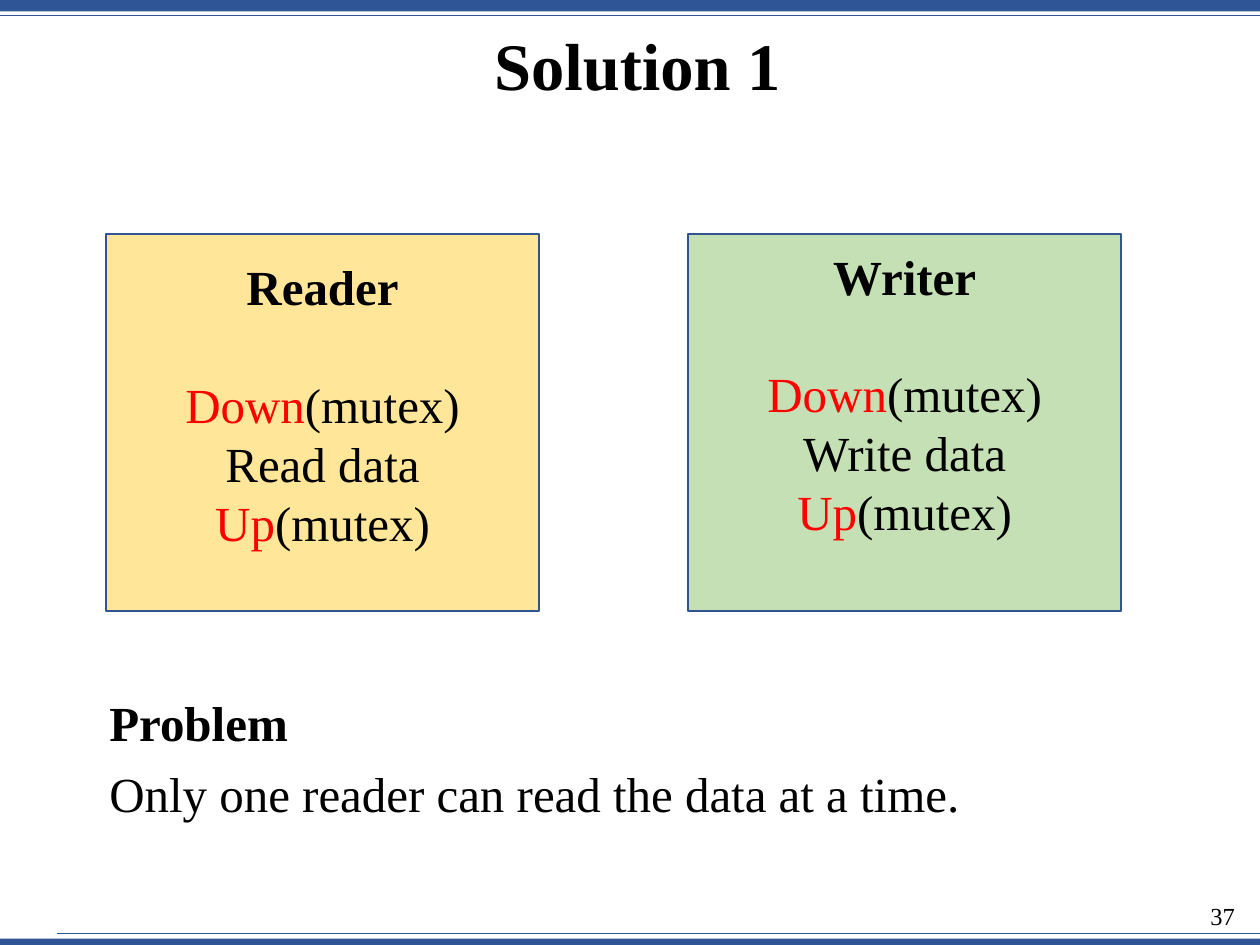
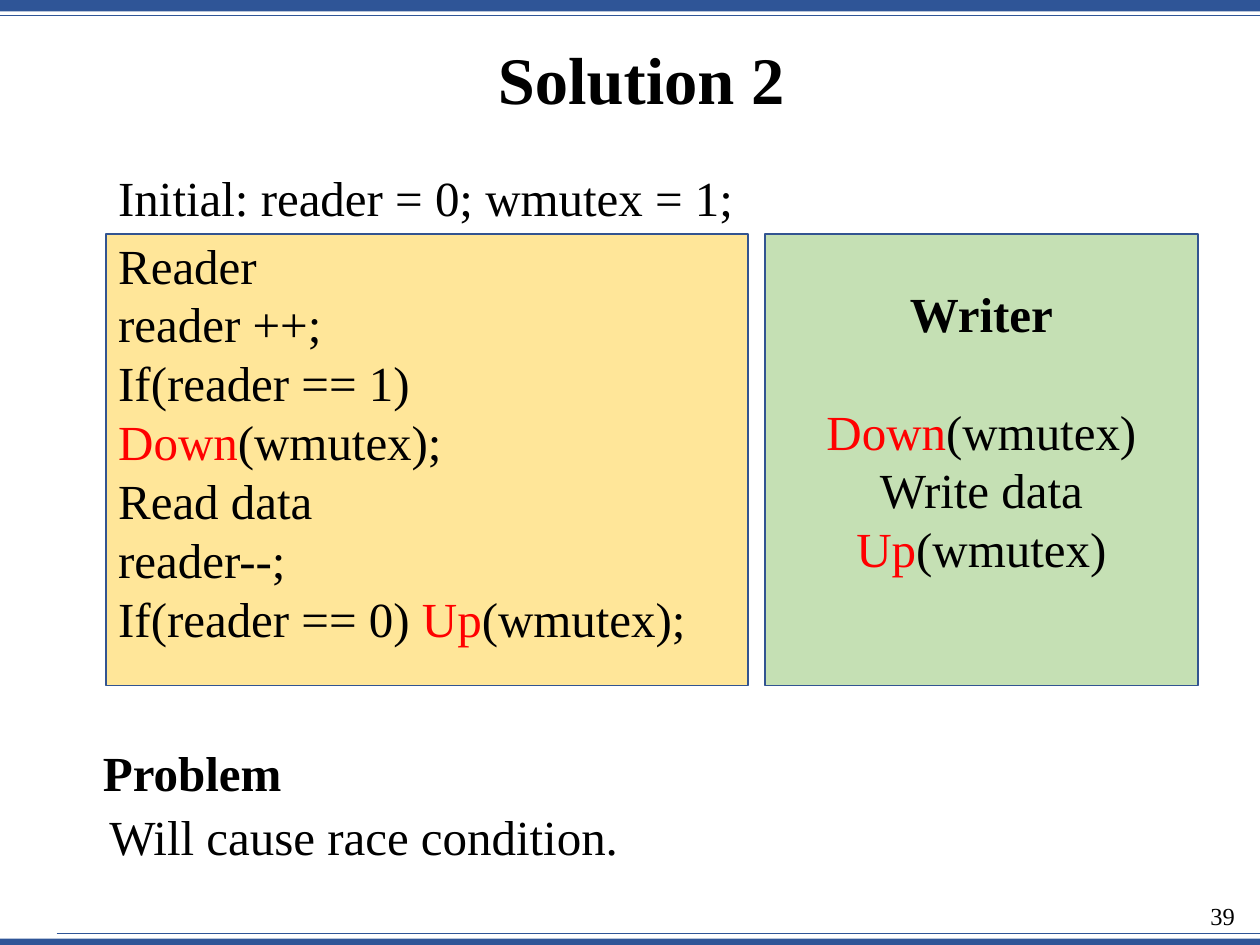
from lxml import etree
from pptx import Presentation
from pptx.dml.color import RGBColor
from pptx.enum.shapes import MSO_CONNECTOR, MSO_SHAPE
from pptx.enum.text import MSO_ANCHOR, PP_ALIGN
from pptx.oxml.ns import qn
from pptx.util import Pt

LEFT, CENTER, RIGHT = PP_ALIGN.LEFT, PP_ALIGN.CENTER, PP_ALIGN.RIGHT
TOP, MIDDLE = MSO_ANCHOR.TOP, MSO_ANCHOR.MIDDLE
RECTANGLE = MSO_SHAPE.RECTANGLE
STRAIGHT = MSO_CONNECTOR.STRAIGHT

COLORS = {name: RGBColor.from_string(value) for name, value in {
    "band": "2F5597", "border": "325491", "reader": "FFE699",
    "writer": "C5E0B4", "text": "000000", "keyword": "FF0000",
}.items()}
FONT = "Times New Roman"
WIDTH, HEIGHT = 720, 540
BODY_SIZE = 28
BODY_LINE = 33.6
BOX_TOP = 133.9


def write(shape, text, size=BODY_SIZE, align=LEFT, anchor=TOP, bold=False,
          heading=False, spacing=None, space_below=0):
    frame = shape.text_frame
    frame.word_wrap = True
    frame.vertical_anchor = anchor
    frame.margin_bottom = Pt(3.6 + space_below)
    for index, line in enumerate(text.split("\n")):
        paragraph = frame.paragraphs[0] if index == 0 else frame.add_paragraph()
        paragraph.alignment = align
        if spacing:
            paragraph.line_spacing = spacing
        if heading and index == 1:
            paragraph.space_before = Pt(BODY_LINE)
        for part, words in enumerate(line.split("*")):
            if words:
                run = paragraph.add_run()
                run.text = words
                run.font.name = FONT
                run.font.size = Pt(size)
                run.font.bold = bold or (heading and index == 0)
                run.font.color.rgb = COLORS["keyword" if part % 2 else "text"]


def add_rectangle(slide, left, top, width, height, fill, border=None):
    shape = slide.shapes.add_shape(RECTANGLE, Pt(left), Pt(top), Pt(width), Pt(height))
    shape.shadow.inherit = False
    shape.fill.solid()
    shape.fill.fore_color.rgb = COLORS[fill]
    if border:
        shape.line.color.rgb = COLORS[border]
        shape.line.width = Pt(1)
    else:
        shape.line.fill.background()
    return shape


SLIDES = [
    {
        "title": "Solution 1", "title_at": (58.3, 8.6), "number": "37",
        "box_height": 215.3,
        "boxes": [
            ("writer", 393.1, 247.7, "Writer\n*Down*(mutex)\nWrite data\n*Up*(mutex)",
             {"align": CENTER, "heading": True, "space_below": BODY_LINE}),
            ("reader", 60.5, 247.7, "Reader\n*Down*(mutex)\nRead data\n*Up*(mutex)",
             {"align": CENTER, "heading": True, "space_below": 21.6}),
        ],
        "texts": [
            ("Only one reader can read the data at a time.", 55.4, 432.7, 637.9, False),
            ("Problem", 55.4, 392.4, 152.6, True),
        ],
    },
    {
        "title": "Solution 2", "title_at": (60.5, 16.6), "number": "39",
        "box_height": 257.8,
        "boxes": [
            ("writer", 437, 247.7, "Writer\n*Down*(wmutex)\nWrite data\n*Up*(wmutex)",
             {"align": CENTER, "heading": True, "space_below": BODY_LINE}),
            ("reader", 60.5, 367.2,
             "Reader\nreader ++;\nIf(reader == 1) *Down*(wmutex);\nRead data\n"
             "reader--;\nIf(reader == 0) *Up*(wmutex);",
             {"space_below": 21.6}),
        ],
        "texts": [
            ("Will cause race condition.", 55.4, 457.2, 637.9, False),
            ("Initial: reader = 0; wmutex = 1;", 60.5, 92.2, 369.4, False),
            ("Problem", 51.8, 420.5, 124.6, True),
        ],
    },
]

presentation = Presentation()
presentation.slide_width = Pt(WIDTH)
presentation.slide_height = Pt(HEIGHT)

for content in SLIDES:
    slide = presentation.slides.add_slide(presentation.slide_layouts[6])

    for top, height in ((HEIGHT - 3.6, 3.6), (0, 6.5)):
        add_rectangle(slide, 0, top, WIDTH, height, "band")
    for left, top in ((0, 8.6), (32.4, 533.5)):
        rule = slide.shapes.add_connector(STRAIGHT, Pt(left), Pt(top), Pt(WIDTH), Pt(top))
        rule.line.color.rgb = COLORS["band"]
        rule.line.width = Pt(0.5)
        etree.SubElement(rule._element.spPr, qn("a:effectLst"))

    number = slide.shapes.add_textbox(Pt(673.9), Pt(511.2), Pt(38.9), Pt(28.8))
    write(number, content["number"], size=14, align=RIGHT)

    left, top = content["title_at"]
    title = slide.shapes.add_textbox(Pt(left), Pt(top), Pt(612), Pt(61.9))
    write(title, content["title"], size=38, align=CENTER, anchor=MIDDLE, bold=True, spacing=0.9)

    for role, left, width, text, layout in content["boxes"]:
        box = add_rectangle(slide, left, BOX_TOP, width, content["box_height"], role, "border")
        write(box, text, anchor=MIDDLE, **layout)

    for text, left, top, width, bold in content["texts"]:
        label = slide.shapes.add_textbox(Pt(left), Pt(top), Pt(width), Pt(41))
        write(label, text, bold=bold)

presentation.save("out.pptx")
